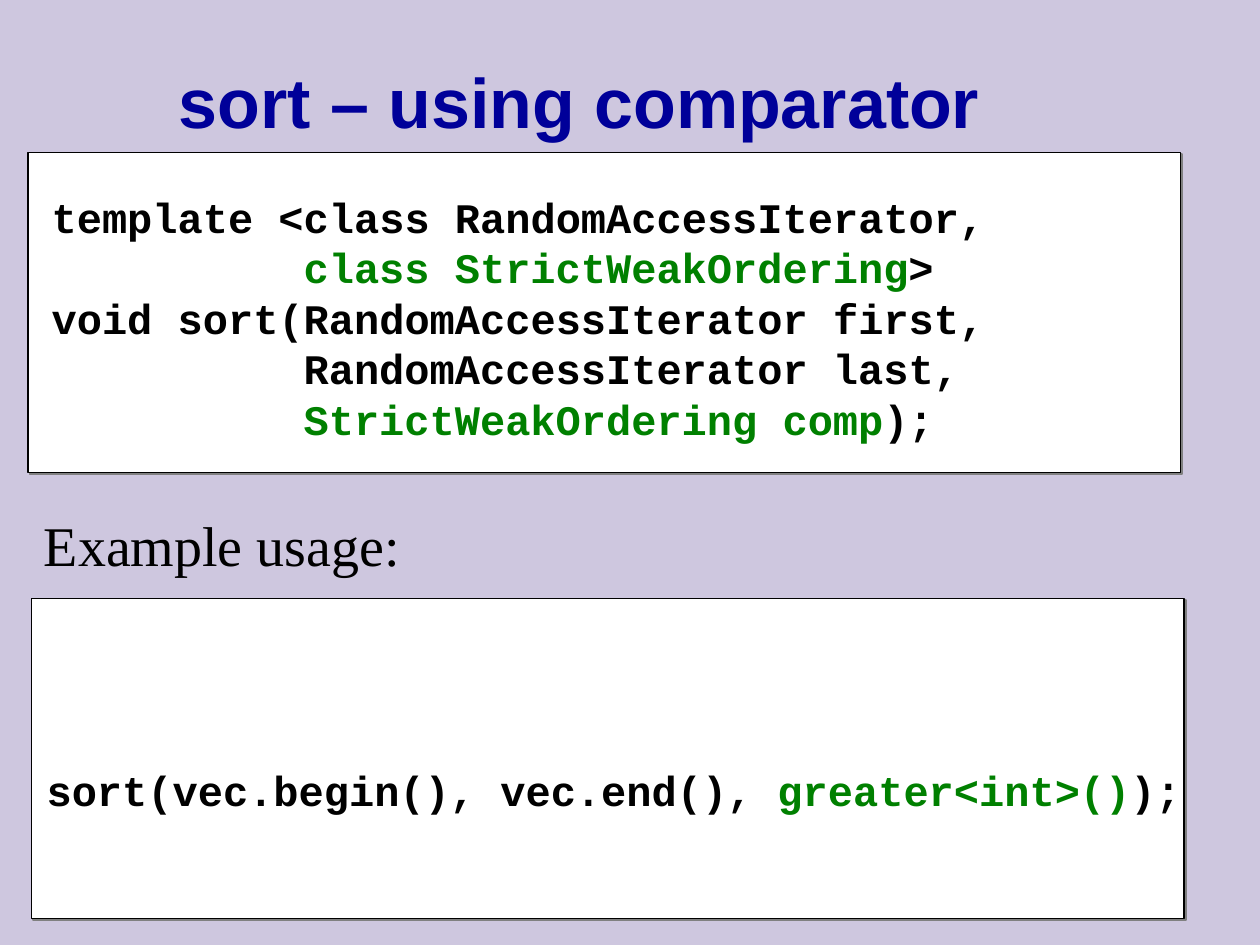
import dataclasses

import lxml.etree
import pptx
import pptx.dml.color
import pptx.enum.shapes
import pptx.enum.text
import pptx.oxml.ns
import pptx.util

Inches = pptx.util.Inches
ANCHOR = pptx.enum.text.MSO_ANCHOR


@dataclasses.dataclass(frozen=True)
class Theme:
    back: str = "CEC7DF"
    panel: str = "FFFFFF"
    ink: str = "000000"
    accent: str = "008000"
    head: str = "000099"
    shade: str = "808080"
    head_font: str = "Arial"
    body_font: str = "Times New Roman"
    code_font: str = "Courier New"
    head_size: int = 40
    body_size: int = 32
    code_size: int = 24


def rgb(value):
    return pptx.dml.color.RGBColor.from_string(value)


def place(shape, left, top, width, height):
    shape.left, shape.top = Inches(left), Inches(top)
    shape.width, shape.height = Inches(width), Inches(height)


class Painter:
    def __init__(self, slide, theme):
        self.slide, self.theme = slide, theme
        slide.background.fill.solid()
        slide.background.fill.fore_color.rgb = rgb(theme.back)

    def style(self, run, font, size, color, bold=False):
        run.font.name, run.font.size = font, pptx.util.Pt(size)
        run.font.color.rgb, run.font.bold = rgb(color), bold

    def title(self, text, *box):
        shape = self.slide.shapes.title
        place(shape, *box)
        frame = shape.text_frame
        frame.text = text
        frame.vertical_anchor = ANCHOR.MIDDLE
        frame.auto_size = pptx.enum.text.MSO_AUTO_SIZE.NONE
        line = frame.paragraphs[0]
        line.alignment = pptx.enum.text.PP_ALIGN.LEFT
        theme = self.theme
        self.style(line.runs[0], theme.head_font, theme.head_size, theme.head, True)

    def frame(self, *box):
        shape = self.slide.shapes.add_textbox(*map(Inches, box))
        shape.text_frame.word_wrap = True
        return shape.text_frame

    def label(self, text, *box):
        frame = self.frame(*box)
        frame.text = text
        theme = self.theme
        self.style(frame.paragraphs[0].runs[0], theme.body_font, theme.body_size, theme.ink)

    def panel(self, *box):
        """Draw a bordered card with a thin hard shadow."""
        kind = pptx.enum.shapes.MSO_SHAPE.RECTANGLE
        shape = self.slide.shapes.add_shape(kind, *map(Inches, box))
        shape.fill.solid()
        shape.fill.fore_color.rgb = rgb(self.theme.panel)
        shape.line.color.rgb = rgb(self.theme.ink)
        shape.line.width = pptx.util.Pt(1)
        shape.shadow.inherit = False
        effects = shape.element.spPr.find(pptx.oxml.ns.qn("a:effectLst"))
        shadow = lxml.etree.SubElement(
            effects, pptx.oxml.ns.qn("a:outerShdw"),
            blurRad="0", dist=str(pptx.util.Pt(1.4)), dir=str(45 * 60000),
            algn="ctr", rotWithShape="0")
        lxml.etree.SubElement(shadow, pptx.oxml.ns.qn("a:srgbClr"), val=self.theme.shade)

    def code(self, lines, *box):
        """Write lines given as (indent in inches, parts); odd parts are accented."""
        theme = self.theme
        frame = self.frame(*box)
        frame.vertical_anchor = ANCHOR.MIDDLE
        frame.margin_left = frame.margin_right = Inches(0.2)
        frame.margin_top = frame.margin_bottom = Inches(0.15)
        for row, (indent, parts) in enumerate(lines):
            line = frame.add_paragraph() if row else frame.paragraphs[0]
            if indent:
                line._p.get_or_add_pPr().set("marL", str(Inches(indent)))
            for part, text in enumerate(parts):
                if text:
                    run = line.add_run()
                    run.text = text
                    color = theme.accent if part % 2 else theme.ink
                    self.style(run, theme.code_font, theme.code_size, color, True)


def main():
    deck = pptx.Presentation()
    deck.slide_width, deck.slide_height = Inches(10), Inches(7.5)
    paint = Painter(deck.slides.add_slide(deck.slide_layouts[5]), Theme())

    tab = 2  # ten code letters wide
    paint.panel(0.22, 1.21, 9.15, 2.54)
    paint.code([
        (0, ["template <class RandomAccessIterator,"]),
        (tab, ["", "class StrictWeakOrdering", ">"]),
        (0, ["void sort(RandomAccessIterator first,"]),
        (tab, ["RandomAccessIterator last,"]),
        (tab, ["", "StrictWeakOrdering comp", ");"]),
    ], 0.21, 1.37, 8, 2.3)
    paint.title("sort – using comparator", 1.32, 0.12, 8.46, 1.35)
    paint.label("Example usage:", 0.25, 4, 9, 0.63)
    paint.panel(0.25, 4.75, 9.15, 2.54)
    paint.code([(0, ["sort(vec.begin(), vec.end(), ", "greater<int>()", ");"])],
               0.17, 5.92, 9.6, 0.7)

    deck.save("out.pptx")


if __name__ == "__main__":
    main()
